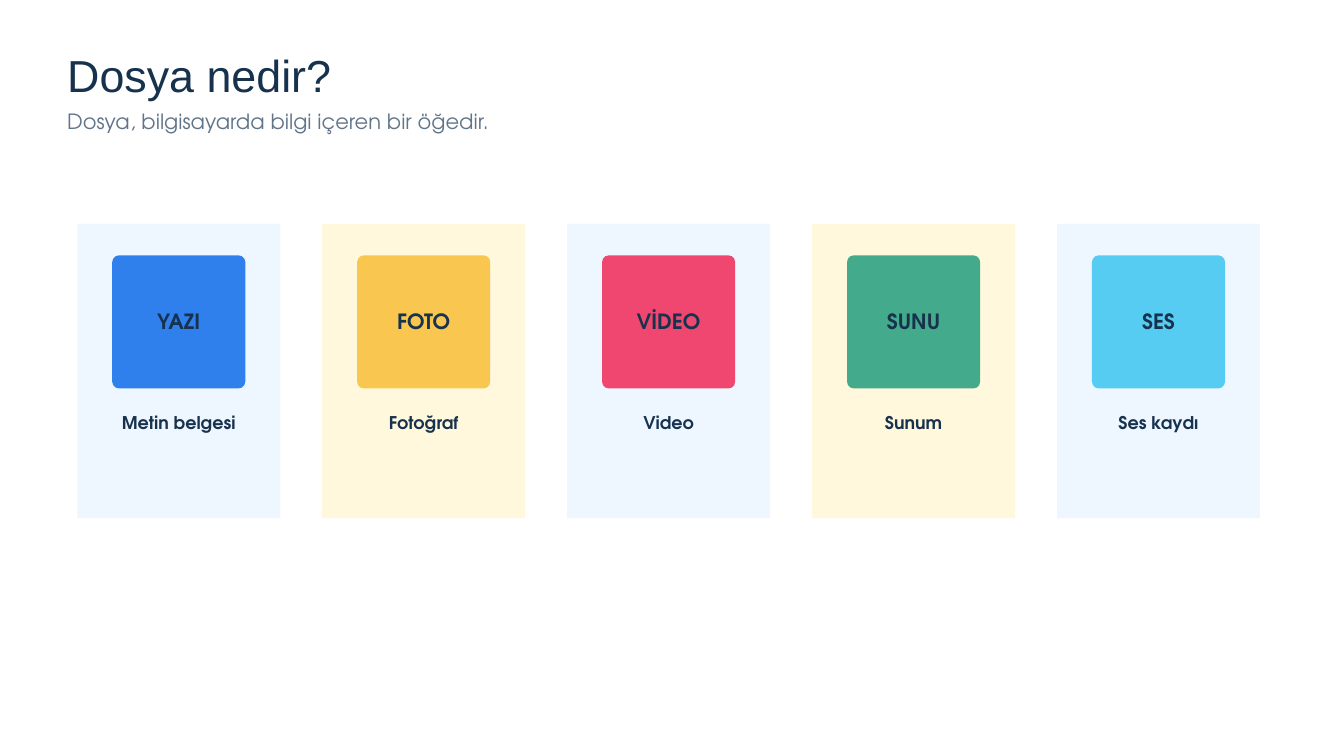
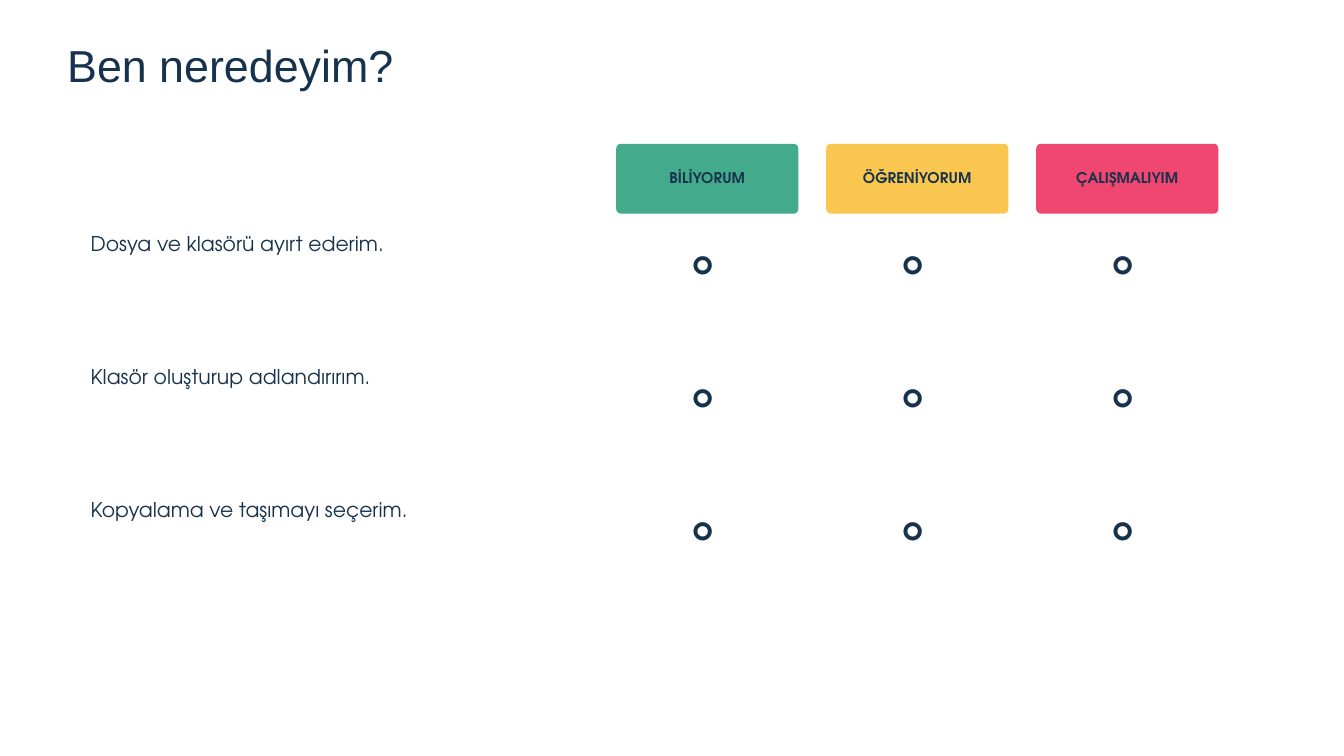
import pptx
import pptx.dml.color
import pptx.enum.shapes
import pptx.enum.text
import pptx.util

Inches = pptx.util.Inches
Pt = pptx.util.Pt
SHAPE = pptx.enum.shapes.MSO_SHAPE
ALIGN = pptx.enum.text.PP_ALIGN
ANCHOR = pptx.enum.text.MSO_ANCHOR

# Shared look
TITLE_FONT, BODY_FONT = "Arial", "TeX Gyre Adventor"
INK, MUTED, WHITE = "17324D", "61758A", "FFFFFF"
BLUE, YELLOW, RED, GREEN, SKY = "2F80ED", "F9C74F", "EF476F", "43AA8B", "56CCF2"
CARD_FILLS = ("EEF7FF", "FFF8DC")
MARGIN = 1

# Slide content
FILE_TYPES = [
    ("YAZI", "Metin belgesi", BLUE),
    ("FOTO", "Fotoğraf", YELLOW),
    ("VİDEO", "Video", RED),
    ("SUNU", "Sunum", GREEN),
    ("SES", "Ses kaydı", SKY),
]
LEVELS = [("BİLİYORUM", GREEN), ("ÖĞRENİYORUM", YELLOW), ("ÇALIŞMALIYIM", RED)]
SKILLS = [
    "Dosya ve klasörü ayırt ederim.",
    "Klasör oluşturup adlandırırım.",
    "Kopyalama ve taşımayı seçerim.",
]


def color(value):
    return pptx.dml.color.RGBColor.from_string(value)


def write(box, text, size, leading, font=BODY_FONT, ink=INK, bold=False,
          align=ALIGN.LEFT, anchor=ANCHOR.TOP, inset=0):
    frame = box.text_frame
    frame.word_wrap = True
    frame.vertical_anchor = anchor
    frame.margin_left = frame.margin_right = Inches(inset)
    frame.margin_top = frame.margin_bottom = Inches(inset)
    para = frame.paragraphs[0]
    para.alignment = align
    para.line_spacing = Pt(leading)
    span = para.add_run()
    span.text = text
    span.font.name = font
    span.font.size = Pt(size)
    span.font.bold = bold
    span.font.color.rgb = color(ink)


def add_label(shapes, left, top, width, height, text, size, leading, **style):
    box = shapes.add_textbox(Inches(left), Inches(top), Inches(width), Inches(height))
    write(box, text, size, leading, **style)
    box.text_frame.auto_size = pptx.enum.text.MSO_AUTO_SIZE.SHAPE_TO_FIT_TEXT


def add_block(shapes, left, top, width, height, fill, radius=0):
    kind = SHAPE.ROUNDED_RECTANGLE if radius else SHAPE.RECTANGLE
    block = shapes.add_shape(kind, Inches(left), Inches(top), Inches(width), Inches(height))
    if radius:
        block.adjustments[0] = radius / min(width, height)
    block.shadow.inherit = False
    block.fill.solid()
    block.fill.fore_color.rgb = color(fill)
    block.line.fill.background()
    return block


def add_tile(shapes, left, top, width, height, fill, radius, text, size, leading):
    tile = add_block(shapes, left, top, width, height, fill, radius)
    write(tile, text, size, leading, bold=True, align=ALIGN.CENTER,
          anchor=ANCHOR.MIDDLE, inset=0.06)


def spread(left, width, item_width, count):
    """Left edges of equal items that fill a row."""
    step = (width - item_width) / (count - 1)
    return [left + step * index for index in range(count)]


def add_page(deck, title, top, width):
    page = deck.slides.add_slide(deck.slide_layouts[6])
    page.background.fill.solid()
    page.background.fill.fore_color.rgb = color(WHITE)
    add_label(page.shapes, MARGIN, top, width, 0.71, title, 48, 50.4, font=TITLE_FONT)
    return page


def add_file_card(page, left, top, width, height, fill, badge, caption, badge_fill):
    shapes = page.shapes.add_group_shape().shapes
    add_block(shapes, left, top, width, height, fill)
    badge_size, caption_width = 1.98, 2.5
    add_tile(shapes, left + (width - badge_size) / 2, top + 0.47, badge_size, badge_size,
             badge_fill, 0.1, badge, 22.5, 24.8)
    add_label(shapes, left + (width - caption_width) / 2, top + 2.82, caption_width, 0.3,
              caption, 18.8, 21.6, bold=True, align=ALIGN.CENTER)


def add_rating_grid(page, left, top, width):
    header_width, ring_size, row_step = 2.71, 0.94, 1.98
    columns = spread(left, width, header_width, len(LEVELS))
    # Level headers
    for column, (level, fill) in zip(columns, LEVELS):
        add_tile(page.shapes, column, top, header_width, 1.04, fill, 0.07, level, 15.8, 17.3)
    # Rings to tick, one row for each skill
    for row in range(len(SKILLS)):
        for column in columns:
            add_tile(page.shapes, column + 0.83, top + 1.3 + row * row_step,
                     ring_size, ring_size, WHITE, 0.21, "○", 33, 36.3)


def add_skill_list(page, left, top, width):
    for row, skill in enumerate(SKILLS):
        add_label(page.shapes, left, top + row * 1.98, width, 0.4, skill, 21.8, 29.4)


def build_file_types(deck):
    page = add_page(deck, "Dosya nedir?", 0.81, 9.38)
    add_label(page.shapes, MARGIN, 1.58, 11.46, 0.41,
              "Dosya, bilgisayarda bilgi içeren bir öğedir.", 22.5, 29.2, ink=MUTED)
    card_width = 3.02
    lefts = spread(1.15, 17.6, card_width, len(FILE_TYPES))
    for index, (left, file_type) in enumerate(zip(lefts, FILE_TYPES)):
        add_file_card(page, left, 3.33, card_width, 4.38, CARD_FILLS[index % 2], *file_type)


def build_self_check(deck):
    page = add_page(deck, "Ben neredeyim?", 0.66, 10.42)
    add_skill_list(page, 1.35, 3.4, 7.29)
    add_rating_grid(page, 9.17, 2.14, 8.96)


def main():
    deck = pptx.Presentation()
    deck.slide_width, deck.slide_height = Inches(20), Inches(11.25)
    build_file_types(deck)
    build_self_check(deck)
    deck.save("out.pptx")


if __name__ == "__main__":
    main()
